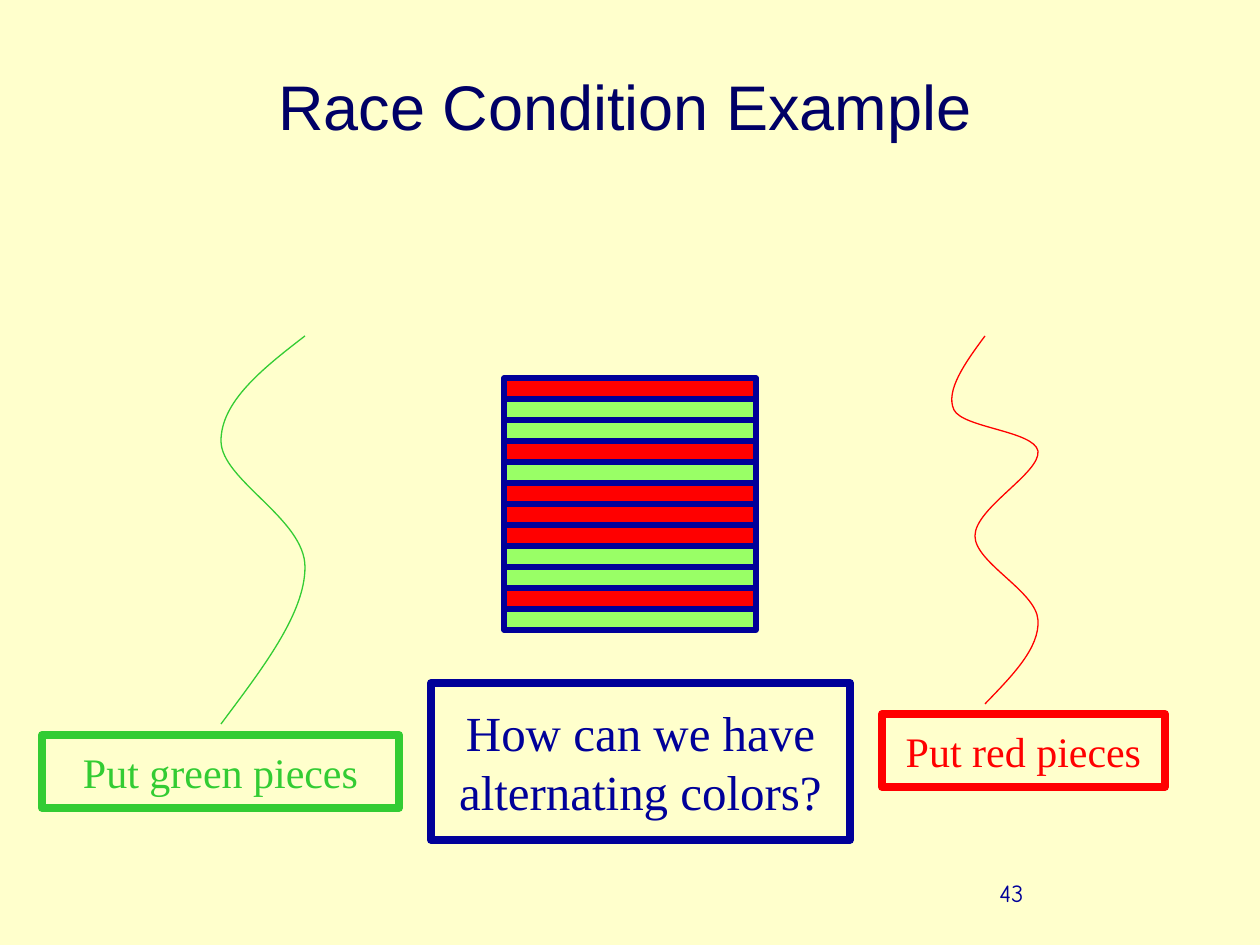
from lxml.etree import SubElement
from pptx import Presentation
from pptx.dml.color import RGBColor
from pptx.enum.shapes import MSO_SHAPE
from pptx.enum.text import MSO_ANCHOR, PP_ALIGN
from pptx.oxml.ns import qn
from pptx.util import Pt

PX = 914400 / 126
GREEN, RED, NAVY, BRICK_GREEN = "33CC33", "FF0000", "000099", "99FF66"

# Content: each thread is a start point followed by cubic Bézier triples
THREADS = [
    (GREEN, [(305, 336),
             (262, 369), (221, 402), (221, 441),
             (221, 480), (305, 519), (305, 567),
             (305, 614), (262, 669), (221, 724)]),
    (RED, [(985, 336),
           (965, 363), (945, 391), (954, 410),
           (963, 428), (1034, 431), (1038, 451),
           (1041, 473), (975, 508), (975, 536),
           (975, 563), (1036, 591), (1038, 620),
           (1040, 648), (1012, 676), (985, 704)]),
]
LABELS = [
    (["Put green pieces"], (42, 735, 357, 73), 24, GREEN),
    (["Put red pieces"], (882, 714, 283, 73), 24, RED),
    (["How can we have", "alternating colors?"], (431, 683, 419, 157), 28, NAVY),
]
BRICKS = "GRGGRRRGRGGR"  # from the bottom up
BRICK_LEFT, STACK_BOTTOM, BRICK_WIDTH, BRICK_HEIGHT = 504, 630, 252, 21


def emu(*lengths):
    return [round(length * PX) for length in lengths]


def color(value):
    return RGBColor.from_string(value)


def set_line(shape, value, points):
    shape.shadow.inherit = False
    shape.line.color.rgb = color(value)
    shape.line.width = Pt(points)


def write(shape, lines, font_name, size, value, align):
    frame = shape.text_frame
    frame.text = "\n".join(lines)
    for para in frame.paragraphs:
        para.alignment = align
        para.font.name = font_name
        para.font.size = Pt(size)
        para.font.color.rgb = color(value)
    return frame


def add_box(page, place, fill, line, points):
    box = page.shapes.add_shape(MSO_SHAPE.RECTANGLE, *emu(*place))
    if fill:
        box.fill.solid()
        box.fill.fore_color.rgb = color(fill)
    else:
        box.fill.background()
    set_line(box, line, points)
    return box


def add_curve(page, points, value):
    builder = page.shapes.build_freeform(*points[0], scale=PX)
    builder.add_line_segments(points[1:], close=False)
    curve = builder.convert_to_shape()
    curve.fill.background()
    set_line(curve, value, 0.75)
    # Turn every three line segments into one Bézier segment
    outline = next(curve._element.iter(qn("a:path")))
    segments = outline.findall(qn("a:lnTo"))
    for start in range(0, len(segments), 3):
        bezier = SubElement(outline, qn("a:cubicBezTo"))
        for segment in segments[start:start + 3]:
            bezier.append(segment[0])
            outline.remove(segment)


def main():
    deck = Presentation()
    deck.slide_width, deck.slide_height = emu(1260, 945)
    page = deck.slides.add_slide(deck.slide_layouts[5])
    page.background.fill.solid()
    page.background.fill.fore_color.rgb = color("FFFFCC")

    # Title
    title = page.shapes.title
    title.left, title.top, title.width, title.height = emu(126, 53, 998, 116)
    frame = write(title, ["Race Condition Example"], "Arial", 36, "000066", PP_ALIGN.CENTER)
    frame.vertical_anchor = MSO_ANCHOR.MIDDLE
    frame.paragraphs[0].line_spacing = 0.85

    # Threads
    for value, points in THREADS:
        add_curve(page, points, value)

    # Labels
    for lines, place, size, value in LABELS:
        box = add_box(page, place, None, value, 4.5)
        frame = write(box, lines, "Times New Roman", size, value, PP_ALIGN.CENTER)
        frame.vertical_anchor = MSO_ANCHOR.MIDDLE
        frame.word_wrap = False

    # Stack of pieces
    for level, letter in enumerate(BRICKS, start=1):
        top = STACK_BOTTOM - level * BRICK_HEIGHT
        fill = RED if letter == "R" else BRICK_GREEN
        add_box(page, (BRICK_LEFT, top, BRICK_WIDTH, BRICK_HEIGHT), fill, NAVY, 3)

    # Page number
    number = page.shapes.add_textbox(*emu(987, 872, 262, 63))
    write(number, ["43"], "Comic Neue", 14, NAVY, PP_ALIGN.LEFT).word_wrap = True

    deck.save("out.pptx")


if __name__ == "__main__":
    main()
